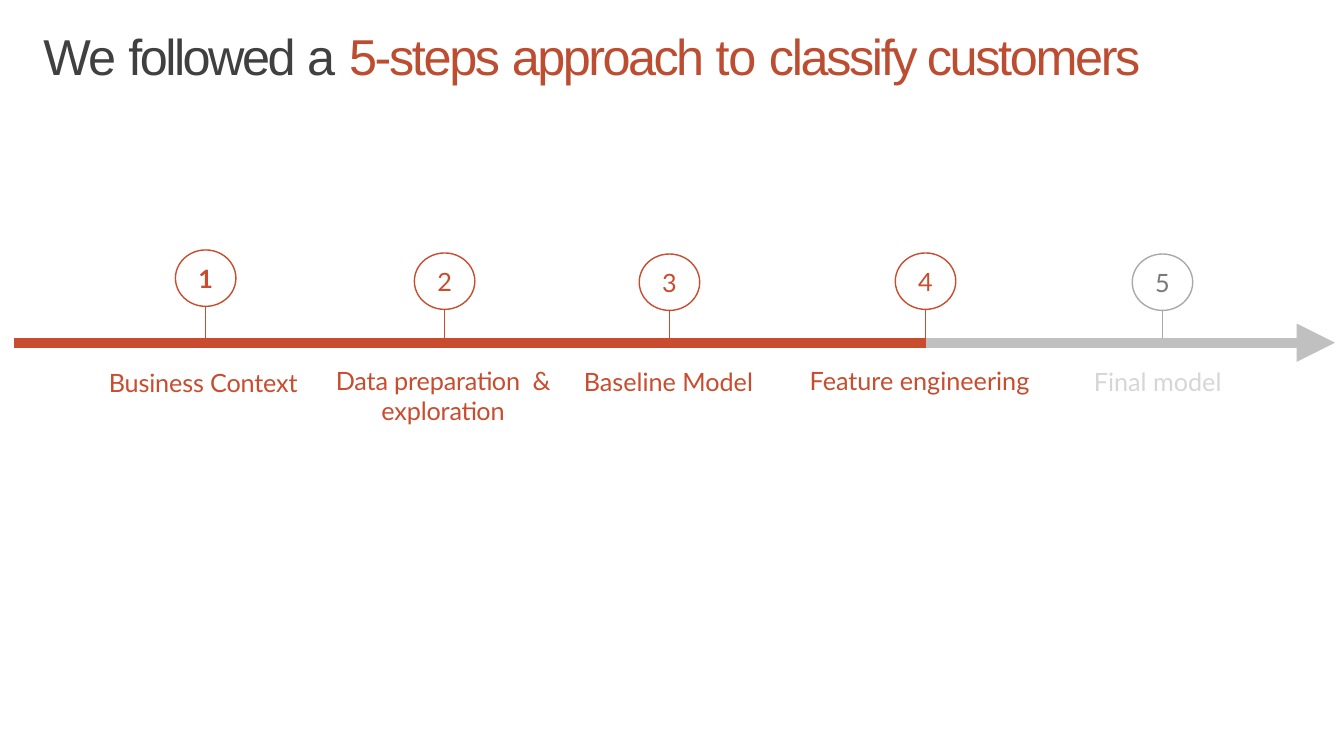
from pptx import Presentation
from pptx.dml.color import RGBColor
from pptx.enum.shapes import MSO_CONNECTOR, MSO_SHAPE
from pptx.enum.text import MSO_ANCHOR, MSO_AUTO_SIZE, PP_ALIGN
from pptx.oxml.ns import qn
from pptx.util import Inches, Pt

STRAIGHT = MSO_CONNECTOR.STRAIGHT
OVAL = MSO_SHAPE.OVAL
TOP, MIDDLE = MSO_ANCHOR.TOP, MSO_ANCHOR.MIDDLE
NO_FIT = MSO_AUTO_SIZE.NONE
LEFT, CENTER = PP_ALIGN.LEFT, PP_ALIGN.CENTER

RUST, GREY, WHITE = "C84C2D", "C0C0C0", "FFFFFF"
BADGE_WIDTH, BADGE_HEIGHT = 0.6, 0.56
STEM_LENGTH, STEM_OVERLAP = 0.33, 0.02
ARROW_SIZE = 0.38
STEPS_DONE = 4

TITLE = [
    ("We ", "404040", -1.3),
    ("followed ", "404040", -1.8),
    ("a ", "404040", 0),
    ("5-steps ", "BD4D31", -1.7),
    ("approach ", "BD4D31", -1.8),
    ("to ", "BD4D31", -1),
    ("classify customers", "BD4D31", -1.7),
]

ACTIVE = {"line": RUST, "number": RUST, "label": RUST}
PENDING = {"line": "A9A9A9", "number": "797979", "label": "D6D6D6"}

STEPS = [
    {"center": 2.04, "badge_top": 2.48, "label": "Business Context",
     "label_box": (1.08, 3.63, 1.93, 0.33), "spacing": -0.1, "bold": True},
    {"center": 4.41, "badge_top": 2.51, "label": "Data preparation  & exploration",
     "label_box": (3.31, 3.61, 2.17, 0.62), "spacing": -0.1, "align": CENTER},
    {"center": 6.64, "badge_top": 2.52, "label": "Baseline Model",
     "label_box": (5.79, 3.62, 1.69, 0.33)},
    {"center": 9.18, "badge_top": 2.51, "label": "Feature engineering",
     "label_box": (8.03, 3.61, 2.28, 0.33)},
    {"center": 11.53, "badge_top": 2.52, "label": "Final model",
     "label_box": (10.85, 3.62, 1.34, 0.33)},
]


def color(hex_value):
    return RGBColor.from_string(hex_value)


def apply(target, formats):
    for name, value in formats.items():
        setattr(target, name, value)


def format_frame(frame, anchor, align):
    apply(frame, {
        "word_wrap": True, "auto_size": NO_FIT, "vertical_anchor": anchor,
        "margin_left": 0, "margin_right": 0,
        "margin_top": Inches(0.01), "margin_bottom": 0,
    })
    frame.paragraphs[0].alignment = align
    return frame.paragraphs[0]


def add_run(paragraph, text, font, size, hex_value, spacing=0, bold=False):
    run = paragraph.add_run()
    run.text = text
    apply(run.font, {"name": font, "size": Pt(size), "bold": bold})
    run.font.color.rgb = color(hex_value)
    if spacing:
        run.font._element.set("spc", str(round(spacing * 100)))


def add_line(slide, start, end, hex_value, width):
    line = slide.shapes.add_connector(STRAIGHT, *map(Inches, start + end))
    line.line.color.rgb = color(hex_value)
    line.line.width = Pt(width)
    properties = line._element.spPr
    properties.append(properties.makeelement(qn("a:effectLst"), {}))


def add_title(slide, left, top, width, height):
    title = slide.shapes.title
    apply(title, {"left": Inches(left), "top": Inches(top),
                  "width": Inches(width), "height": Inches(height)})
    paragraph = format_frame(title.text_frame, MIDDLE, LEFT)
    for text, hex_value, spacing in TITLE:
        add_run(paragraph, text, "Arial", 36, hex_value, spacing)


def add_step(slide, number, step, colors):
    center, badge_top = step["center"], step["badge_top"]
    stem_top = badge_top + BADGE_HEIGHT - STEM_OVERLAP
    add_line(slide, (center, stem_top), (center, stem_top + STEM_LENGTH),
             colors["line"], 1)

    badge = slide.shapes.add_shape(
        OVAL, Inches(center - BADGE_WIDTH / 2), Inches(badge_top),
        Inches(BADGE_WIDTH), Inches(BADGE_HEIGHT))
    badge.shadow.inherit = False
    badge.fill.solid()
    badge.fill.fore_color.rgb = color(WHITE)
    badge.line.color.rgb = color(colors["line"])
    badge.line.width = Pt(1)
    digit = format_frame(badge.text_frame, MIDDLE, CENTER)
    add_run(digit, str(number), "Lato", 18, colors["number"],
            bold=step.get("bold", False))

    label = slide.shapes.add_textbox(*map(Inches, step["label_box"]))
    caption = format_frame(label.text_frame, TOP, step.get("align", LEFT))
    add_run(caption, step["label"], "Lato", 18, colors["label"],
            step.get("spacing", 0))


def add_axis(slide, left, middle, width):
    right = left + width
    head_left = right - ARROW_SIZE
    progress = STEPS[STEPS_DONE - 1]["center"]
    add_line(slide, (STEPS[0]["center"], middle), (head_left, middle), GREY, 7)
    add_line(slide, (left, middle), (progress, middle), RUST, 7)

    half = ARROW_SIZE / 2
    outline = slide.shapes.build_freeform(
        Inches(head_left), Inches(middle - half))
    outline.add_line_segments([
        (Inches(head_left), Inches(middle + half)),
        (Inches(right), Inches(middle)),
    ], close=True)
    head = outline.convert_to_shape()
    head.shadow.inherit = False
    head.fill.solid()
    head.fill.fore_color.rgb = color(GREY)
    head.line.fill.background()


def main():
    deck = Presentation()
    apply(deck, {"slide_width": Inches(13.33), "slide_height": Inches(7.5)})
    slide = deck.slides.add_slide(deck.slide_layouts[5])
    add_title(slide, 0.43, 0.23, 11.6, 0.62)
    for number, step in enumerate(STEPS, 1):
        add_step(slide, number, step, ACTIVE if number <= STEPS_DONE else PENDING)
    add_axis(slide, 0.14, 3.4, 13.1)
    deck.save("out.pptx")


if __name__ == "__main__":
    main()
